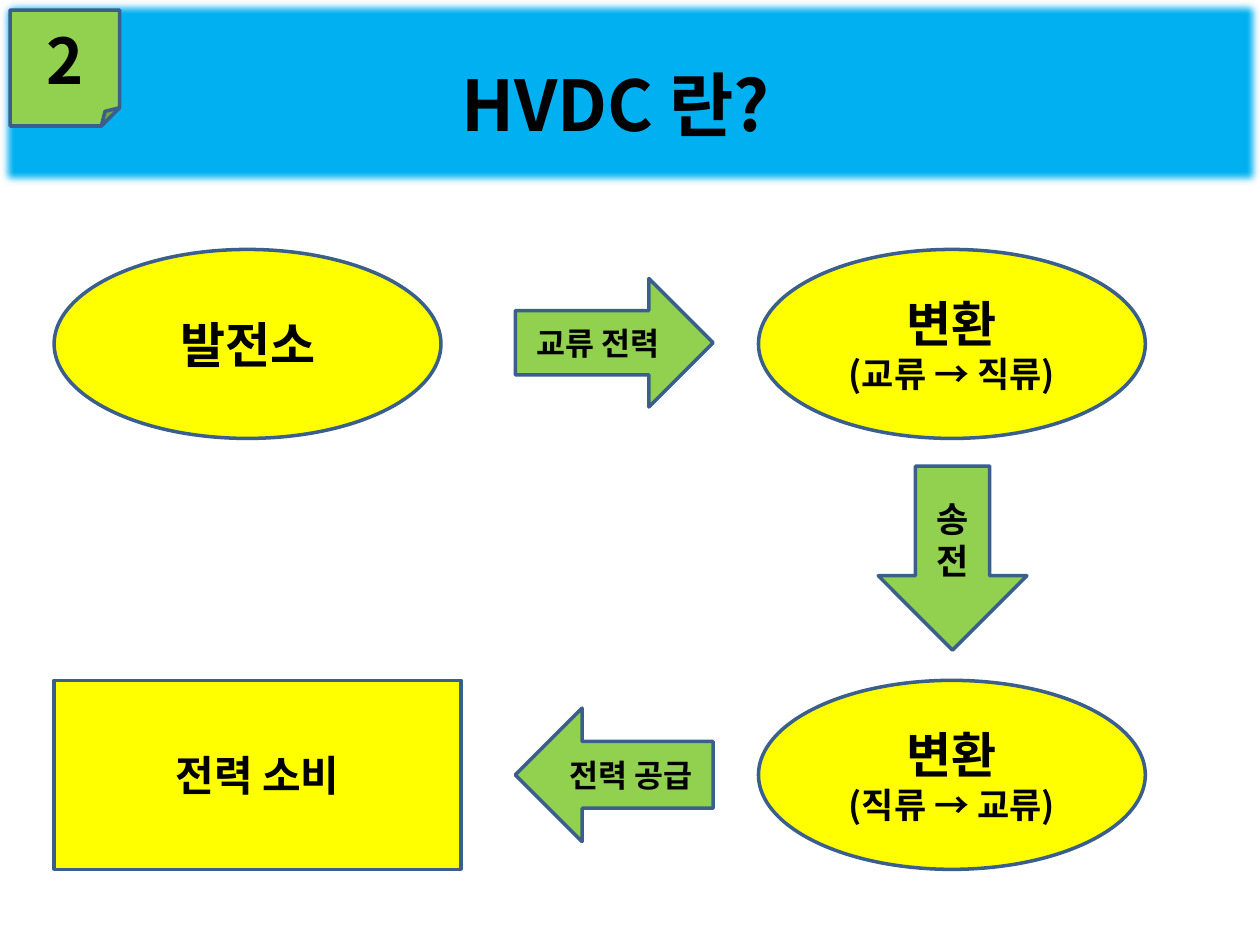
from lxml.etree import SubElement
from pptx import Presentation
from pptx.dml.color import RGBColor
from pptx.enum.shapes import MSO_SHAPE
from pptx.enum.text import MSO_ANCHOR, MSO_AUTO_SIZE, PP_ALIGN
from pptx.oxml.ns import qn
from pptx.util import Emu, Pt

EMU_PER_PX = 9144  # 100 px to the inch
FONT = "Noto Sans CJK KR"
BLACK, BLUE, GREEN, YELLOW, OUTLINE = "000000", "00B0F0", "92D050", "FFFF00", "3A5F8C"


def px(length):
    return Emu(length * EMU_PER_PX)


def color(value):
    return RGBColor.from_string(value)


class SlideBuilder:
    def __init__(self, presentation):
        self.slide = presentation.slides.add_slide(presentation.slide_layouts[5])

    def add_lines(self, shape, lines, anchor=MSO_ANCHOR.MIDDLE):
        """Fill a shape with centred bold lines, each given as (text, points)."""
        frame = shape.text_frame
        frame.word_wrap = True
        frame.vertical_anchor = anchor
        for index, (text, size) in enumerate(lines):
            paragraph = frame.add_paragraph() if index else frame.paragraphs[0]
            paragraph.alignment = PP_ALIGN.CENTER
            run = paragraph.add_run()
            run.text = text
            font = run.font
            font.size = Pt(size)
            font.bold = True
            font.color.rgb = color(BLACK)
            font.name = FONT
            SubElement(run._r.get_or_add_rPr(), qn("a:ea"), typeface=FONT)

    def block(self, kind, left, top, width, height, fill, *lines):
        shape = self.slide.shapes.add_shape(kind, px(left), px(top), px(width), px(height))
        shape.shadow.inherit = False
        shape.fill.solid()
        shape.fill.fore_color.rgb = color(fill)
        shape.line.color.rgb = color(OUTLINE)
        shape.line.width = Pt(2)
        self.add_lines(shape, lines)
        return shape

    def soft_band(self, left, top, width, height, radius):
        """Add a band with blurred edges, behind everything else."""
        band = self.block(MSO_SHAPE.RECTANGLE, left, top, width, height, BLUE)
        effects = band._element.spPr.find(qn("a:effectLst"))
        SubElement(effects, qn("a:softEdge"), rad=str(px(radius)))
        self.slide.shapes._spTree.insert(2, band._element)

    def title(self, text, left, top, width, height, size):
        title = self.slide.shapes.title
        title.left, title.top = px(left), px(top)
        title.width, title.height = px(width), px(height)
        title.text_frame.auto_size = MSO_AUTO_SIZE.NONE
        self.add_lines(title, [(text, size)], MSO_ANCHOR.TOP)


def main():
    presentation = Presentation()
    presentation.slide_width, presentation.slide_height = px(1000), px(750)
    builder = SlideBuilder(presentation)

    builder.soft_band(0, 0, 1000, 147, 7)
    builder.title("HVDC 란?", 28, 44, 921, 77, 40)

    left_column, arrow_column, right_column = 43, 409, 602
    upper_row, lower_row = 198, 540
    node_width, node_height, arrow_width = 307, 150, 157

    builder.block(MSO_SHAPE.OVAL, left_column, upper_row, node_width, node_height,
                  YELLOW, ("발전소", 28))
    builder.block(MSO_SHAPE.RIGHT_ARROW, arrow_column, 221, arrow_width, 102,
                  GREEN, ("교류 전력", 18))
    for top, conversion in ((upper_row, "(교류 → 직류)"), (lower_row, "(직류 → 교류)")):
        builder.block(MSO_SHAPE.OVAL, right_column, top, node_width, node_height,
                      YELLOW, ("변환", 28), (conversion, 20))
    builder.block(MSO_SHAPE.DOWN_ARROW, 697, 370, 118, 146,
                  GREEN, ("송", 20), ("전", 20))
    builder.block(MSO_SHAPE.LEFT_ARROW, arrow_column, 562, arrow_width, 106,
                  GREEN, ("전력 공급", 18))
    builder.block(MSO_SHAPE.RECTANGLE, left_column, lower_row, 323, node_height,
                  YELLOW, ("전력 소비", 24))
    builder.block(MSO_SHAPE.FOLDED_CORNER, 8, 8, 87, 92, GREEN, ("2", 36))

    presentation.save("out.pptx")


if __name__ == "__main__":
    main()
